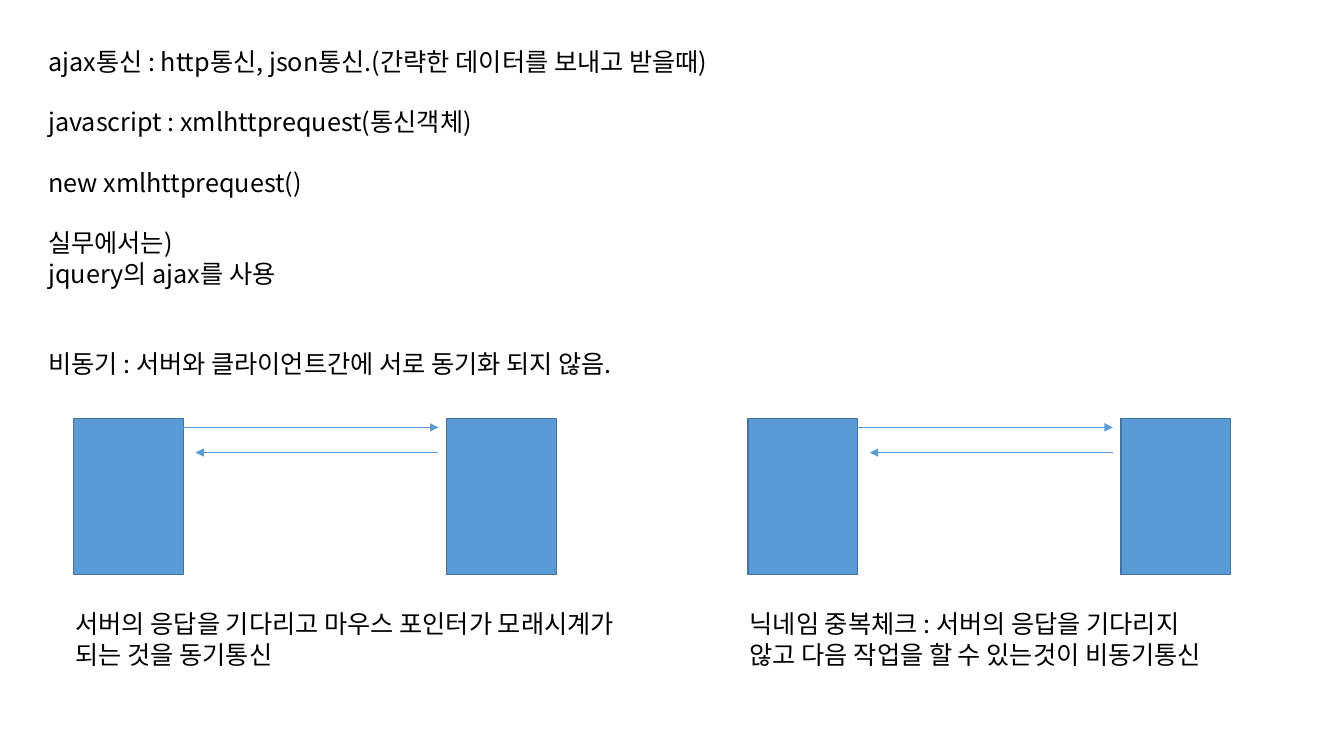
"""Build a slide contrasting synchronous and asynchronous ajax communication."""
from dataclasses import dataclass

from lxml import etree
from pptx import Presentation
from pptx import util as u
from pptx.dml.color import RGBColor
from pptx.enum import shapes, text
from pptx.oxml import ns

WIDTH, HEIGHT = u.Inches(13.33), u.Inches(7.5)
COLUMNS, ROWS = 160, 90
FONT = "Noto Sans CJK KR"
LINE_PITCH = 21.6
COLORS = {"ink": "000000", "box": "5B9BD5", "border": "43739E"}
BOX_TOP, BOX_WIDTH, BOX_HEIGHT = 49.8, 13.08, 18.6
BOX_OFFSETS = (0, 44.4)
CAPTION_TOP, CAPTION_HEIGHT, CAPTION_SHIFT = 71.88, 8.52, -0.96


@dataclass(frozen=True)
class Line:
    words: str
    gap: int = 0


@dataclass(frozen=True)
class Arrow:
    start: float
    end: float
    row: float


@dataclass(frozen=True)
class Panel:
    left: float
    caption_width: float
    caption: tuple[Line, ...]


NOTES = (
    Line("ajax통신 : http통신, json통신.(간략한 데이터를 보내고 받을때)"),
    Line("javascript : xmlhttprequest(통신객체)", 1),
    Line("new xmlhttprequest()", 1),
    Line("실무에서는)", 1),
    Line("jquery의 ajax를 사용"),
    Line("비동기 : 서버와 클라이언트간에 서로 동기화 되지 않음.", 2),
)
ARROWS = (Arrow(10.2, 43.44, 50.88), Arrow(43.44, 14.52, 53.88))
PANELS = (
    Panel(8.76, 74.4, (
        Line("서버의 응답을 기다리고 마우스 포인터가 모래시계가"),
        Line("되는 것을 동기통신"),
    )),
    Panel(89.04, 63.36, (
        Line("닉네임 중복체크 : 서버의 응답을 기다리지"),
        Line("않고 다음 작업을 할 수 있는것이 비동기통신"),
    )),
)


def col(count: float) -> int:
    return round(WIDTH * count / COLUMNS)


def row(count: float) -> int:
    return round(HEIGHT * count / ROWS)


def color(name: str) -> RGBColor:
    return RGBColor.from_string(COLORS[name])


def add_text(page, left: float, top: float, width: float, height: float,
             lines: tuple[Line, ...]) -> None:
    box = page.shapes.add_textbox(col(left), row(top), col(width), row(height))
    frame = box.text_frame
    frame.word_wrap = True
    frame.auto_size = text.MSO_AUTO_SIZE.NONE
    for index, line in enumerate(lines):
        para = frame.add_paragraph() if index else frame.paragraphs[0]
        para.line_spacing = u.Pt(LINE_PITCH)
        para.space_before = u.Pt(LINE_PITCH * line.gap)
        span = para.add_run()
        span.text = line.words
        span.font.size = u.Pt(18)
        span.font.name = FONT
        span.font.color.rgb = color("ink")
        east_asian = etree.SubElement(span.font._element, ns.qn("a:ea"))
        east_asian.set("typeface", FONT)


def add_box(page, left: float) -> None:
    box = page.shapes.add_shape(
        shapes.MSO_SHAPE.RECTANGLE,
        col(left), row(BOX_TOP), col(BOX_WIDTH), row(BOX_HEIGHT))
    box.shadow.inherit = False
    box.fill.solid()
    box.fill.fore_color.rgb = color("box")
    box.line.color.rgb = color("border")
    box.line.width = u.Pt(1)


def add_arrow(page, left: float, arrow: Arrow) -> None:
    connector = page.shapes.add_connector(
        shapes.MSO_CONNECTOR.STRAIGHT,
        col(left + arrow.start), row(arrow.row),
        col(left + arrow.end), row(arrow.row))
    connector.line.color.rgb = color("box")
    connector.line.width = u.Pt(0.5)
    properties = connector._element.spPr
    head = etree.SubElement(properties.find(ns.qn("a:ln")), ns.qn("a:tailEnd"))
    head.set("type", "triangle")
    etree.SubElement(properties, ns.qn("a:effectLst"))


def add_panel(page, panel: Panel) -> None:
    for offset in BOX_OFFSETS:
        add_box(page, panel.left + offset)
    for arrow in ARROWS:
        add_arrow(page, panel.left, arrow)
    add_text(page, panel.left + CAPTION_SHIFT, CAPTION_TOP,
             panel.caption_width, CAPTION_HEIGHT, panel.caption)


def main() -> None:
    deck = Presentation()
    deck.slide_width, deck.slide_height = WIDTH, HEIGHT
    page = deck.slides.add_slide(deck.slide_layouts[6])
    add_text(page, 4.56, 4.92, 86.88, 44.88, NOTES)
    for panel in PANELS:
        add_panel(page, panel)
    deck.save("out.pptx")


if __name__ == "__main__":
    main()
